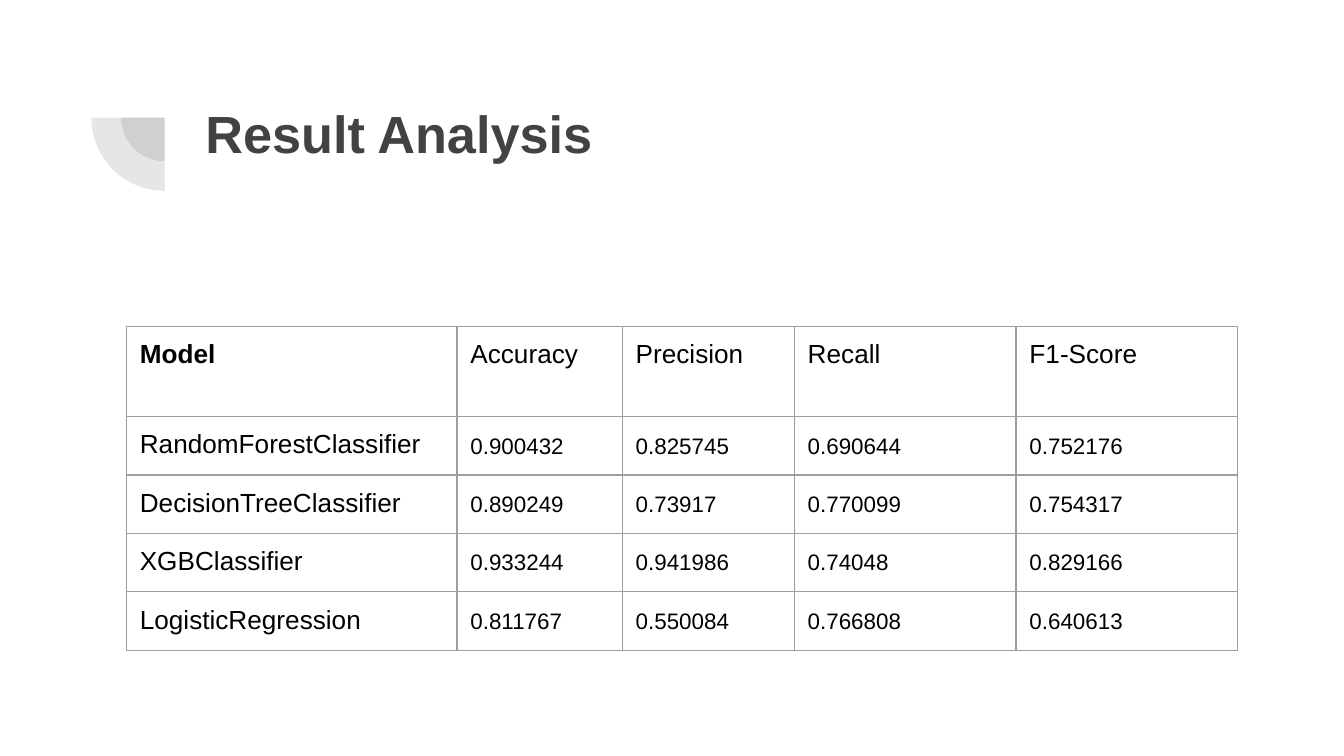
from lxml import etree
from pptx import Presentation, util as u
from pptx.dml.color import RGBColor
from pptx.enum import shapes
from pptx.oxml import ns

PX = u.Inches(1) // 200  # 200 px to the inch

WHITE = RGBColor(0xFF, 0xFF, 0xFF)
BLACK = RGBColor(0, 0, 0)
CHARCOAL = RGBColor(0x42, 0x42, 0x42)
GREY = RGBColor(0x9E, 0x9E, 0x9E)
FONT = "Arial"
INSET = 20

COLUMN_WIDTHS = [492, 246, 256, 330, 330]
ROW_HEIGHTS = [134, 87, 87, 87, 87]
RESULTS = [
    ["Model", "Accuracy", "Precision", "Recall", "F1-Score"],
    ["RandomForestClassifier", "0.900432", "0.825745", "0.690644", "0.752176"],
    ["DecisionTreeClassifier", "0.890249", "0.73917", "0.770099", "0.754317"],
    ["XGBClassifier", "0.933244", "0.941986", "0.74048", "0.829166"],
    ["LogisticRegression", "0.811767", "0.550084", "0.766808", "0.640613"],
]


def px(*lengths):
    return [u.Emu(length * PX) for length in lengths]


def add_run(paragraph, content, size, color, bold=False):
    run = paragraph.add_run()
    run.text = content
    run.font.name = FONT
    run.font.size = u.Pt(size)
    run.font.bold = bold
    run.font.color.rgb = color


def set_margins(target):
    target.margin_left, target.margin_top, target.margin_right, target.margin_bottom = px(*[INSET] * 4)


def add_quarter_rings(slide, left, top, size):
    """Two translucent quarter pies sharing one centre."""
    for diameter in (130, size):
        offset = (size - diameter) // 2
        pie = slide.shapes.add_shape(
            shapes.MSO_SHAPE.PIE, *px(left + offset, top + offset, diameter, diameter))
        pie.adjustments[0] = 107.93
        pie.adjustments[1] = 162
        pie.rotation = 270
        pie.shadow.inherit = False
        pie.line.fill.background()
        pie.fill.solid()
        pie.fill.fore_color.rgb = CHARCOAL
        color = pie.fill._xPr.find(".//" + ns.qn("a:srgbClr"))
        etree.SubElement(color, ns.qn("a:alpha"), val="13000")


def add_title(slide, left, top, width, height):
    frame = slide.shapes.add_textbox(*px(left, top, width, height)).text_frame
    frame.word_wrap = True
    set_margins(frame)
    add_run(frame.paragraphs[0], "Result Analysis", 28, CHARCOAL, bold=True)


def set_borders(cell):
    properties = cell._tc.get_or_add_tcPr()
    for index, side in enumerate(("a:lnL", "a:lnR", "a:lnT", "a:lnB")):
        line = etree.Element(ns.qn(side), w=str(u.Pt(0.75)))
        fill = etree.SubElement(line, ns.qn("a:solidFill"))
        etree.SubElement(fill, ns.qn("a:srgbClr"), val=str(GREY))
        properties.insert(index, line)


def add_results_table(slide, left, top):
    table = slide.shapes.add_table(
        len(RESULTS), len(COLUMN_WIDTHS),
        *px(left, top, sum(COLUMN_WIDTHS), sum(ROW_HEIGHTS))).table
    table.first_row = table.horz_banding = False
    for column, width in zip(table.columns, px(*COLUMN_WIDTHS)):
        column.width = width
    for row, height in zip(table.rows, px(*ROW_HEIGHTS)):
        row.height = height

    for r, values in enumerate(RESULTS):
        for c, value in enumerate(values):
            cell = table.cell(r, c)
            cell.fill.background()
            set_margins(cell)
            set_borders(cell)
            paragraph = cell.text_frame.paragraphs[0]
            is_score = r > 0 and c > 0
            if is_score:
                paragraph.line_spacing = 1.15
                paragraph.space_before = paragraph.space_after = u.Pt(12)
            add_run(paragraph, value, 12 if is_score else 14, BLACK, bold=r == c == 0)


def main():
    presentation = Presentation()
    presentation.slide_width, presentation.slide_height = px(2000, 1125)
    slide = presentation.slides.add_slide(presentation.slide_layouts[6])
    slide.background.fill.solid()
    slide.background.fill.fore_color.rgb = WHITE

    # Heading
    add_quarter_rings(slide, 136, 66, 218)
    add_title(slide, 286, 130, 1538, 218)

    # Scores by model
    add_results_table(slide, 188, 486)

    presentation.save("out.pptx")


if __name__ == "__main__":
    main()
